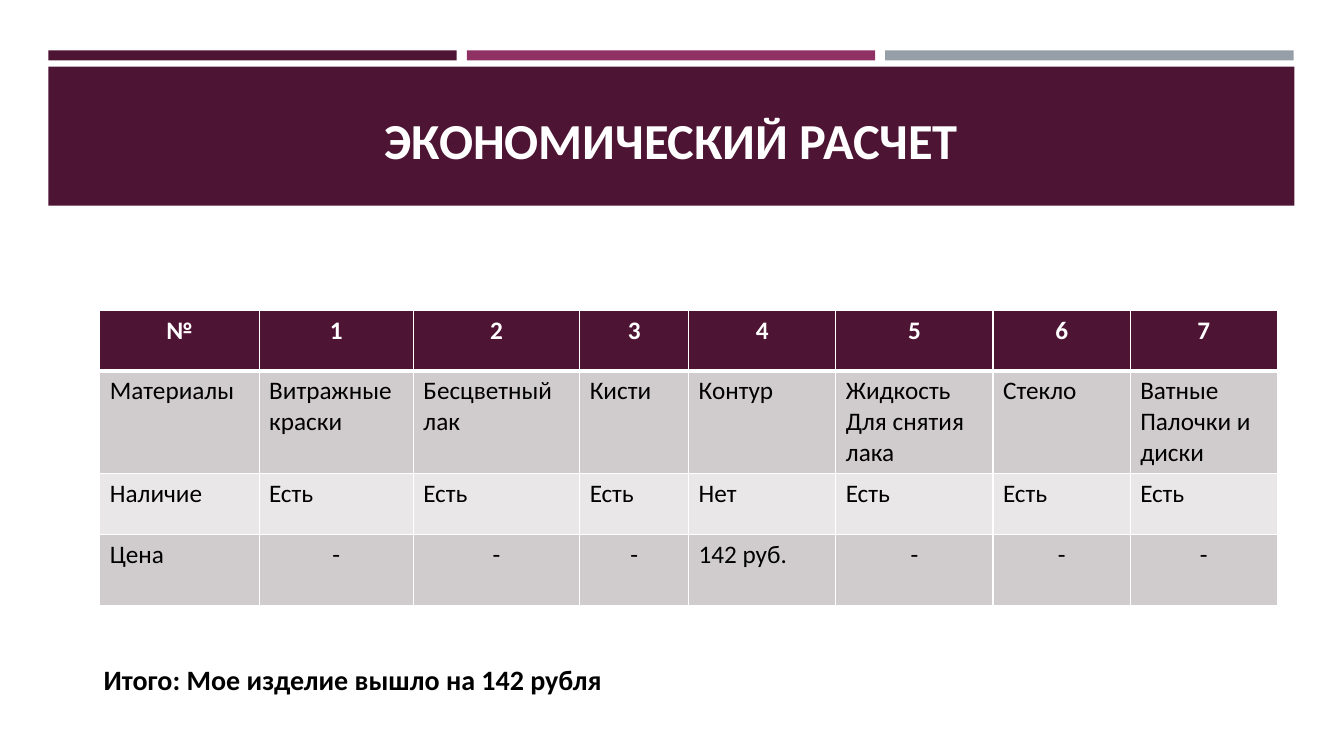
from lxml import etree
from pptx import Presentation
from pptx import util as u
from pptx.dml import color
from pptx.enum import shapes, text
from pptx.oxml import ns

PLUM, MAGENTA, GREY = "4D1434", "903163", "969FA7"
WHITE, BLACK = "FFFFFF", "000000"
BANDS = ["D0CCCE", "E9E7E8"]
COLUMN_WIDTHS = [158, 153, 165, 108, 146, 156, 136, 146]
ROW_HEIGHTS = [60, 102, 60, 71]
ROWS = [
    ["№", "1", "2", "3", "4", "5", "6", "7"],
    ["Материалы", "Витражные краски", "Бесцветный лак", "Кисти", "Контур",
     "Жидкость Для снятия лака", "Стекло", "Ватные Палочки и диски"],
    ["Наличие", "Есть", "Есть", "Есть", "Нет", "Есть", "Есть", "Есть"],
    ["Цена", "-", "-", "-", "142\u00a0руб.", "-", "-", "-"],
]


def px(length):
    return u.Emu(length * 9144)


def rgb(value):
    return color.RGBColor.from_string(value)


def write(frame, content, size=18, fill=BLACK, bold=False, centred=False):
    frame.word_wrap = True
    paragraph = frame.paragraphs[0]
    paragraph.alignment = text.PP_ALIGN.CENTER if centred else text.PP_ALIGN.LEFT
    run = paragraph.add_run()
    run.text = content
    run.font.name = "Calibri"
    run.font.size = u.Pt(size)
    run.font.bold = bold
    run.font.color.rgb = rgb(fill)


def add_text(slide, box, content, anchor=text.MSO_ANCHOR.TOP, **style):
    frame = slide.shapes.add_textbox(*map(px, box)).text_frame
    frame.vertical_anchor = anchor
    write(frame, content, **style)


def add_bar(slide, box, fill):
    shape = slide.shapes.add_shape(shapes.MSO_SHAPE.RECTANGLE, *map(px, box))
    shape.shadow.inherit = False
    shape.fill.solid()
    shape.fill.fore_color.rgb = rgb(fill)
    shape.line.fill.background()


def add_header(slide, left, top, width, height):
    gap = 10
    bar_width = (width - 2 * gap) // 3
    for index, fill in enumerate([PLUM, MAGENTA, GREY]):
        add_bar(slide, (left + index * (bar_width + gap), top, bar_width, 10), fill)
    add_bar(slide, (left, top + 16, width, height - 16), PLUM)
    add_text(slide, (left + 15, top + 30, width - 30, 93), "ЭКОНОМИЧЕСКИЙ РАСЧЕТ",
             anchor=text.MSO_ANCHOR.BOTTOM, size=36, fill=WHITE, bold=True, centred=True)


def set_borders(cell, widths):
    properties = cell._tc.get_or_add_tcPr()
    for side, width in widths.items():
        line = etree.SubElement(properties, ns.qn(f"a:ln{side}"), w=str(u.Pt(width)))
        solid = etree.SubElement(line, ns.qn("a:solidFill"))
        etree.SubElement(solid, ns.qn("a:srgbClr"), val=WHITE)


def add_costs(slide, left, top):
    box = (left, top, sum(COLUMN_WIDTHS), sum(ROW_HEIGHTS))
    table = slide.shapes.add_table(len(ROWS), len(COLUMN_WIDTHS), *map(px, box)).table
    for column, width in zip(table.columns, COLUMN_WIDTHS):
        column.width = px(width)
    for row, (height, values) in enumerate(zip(ROW_HEIGHTS, ROWS)):
        table.rows[row].height = px(height)
        header = row == 0
        for column, value in enumerate(values):
            cell = table.cell(row, column)
            write(cell.text_frame, value, fill=WHITE if header else BLACK,
                  bold=header, centred=header or value == "-")
            set_borders(cell, {"L": 1, "R": 1, "T": 3 if row == 1 else 1,
                               "B": 3 if header else 1})
            cell.fill.solid()
            cell.fill.fore_color.rgb = rgb(PLUM if header else BANDS[(row - 1) % 2])


def main():
    presentation = Presentation()
    presentation.slide_width, presentation.slide_height = px(1333), px(750)
    slide = presentation.slides.add_slide(presentation.slide_layouts[6])
    add_header(slide, 48, 50, 1236, 154)
    add_costs(slide, 99, 308)
    add_text(slide, (93, 652, 551, 44), "Итого: Мое изделие вышло на 142 рубля",
             size=20, bold=True)
    presentation.save("out.pptx")


if __name__ == "__main__":
    main()
